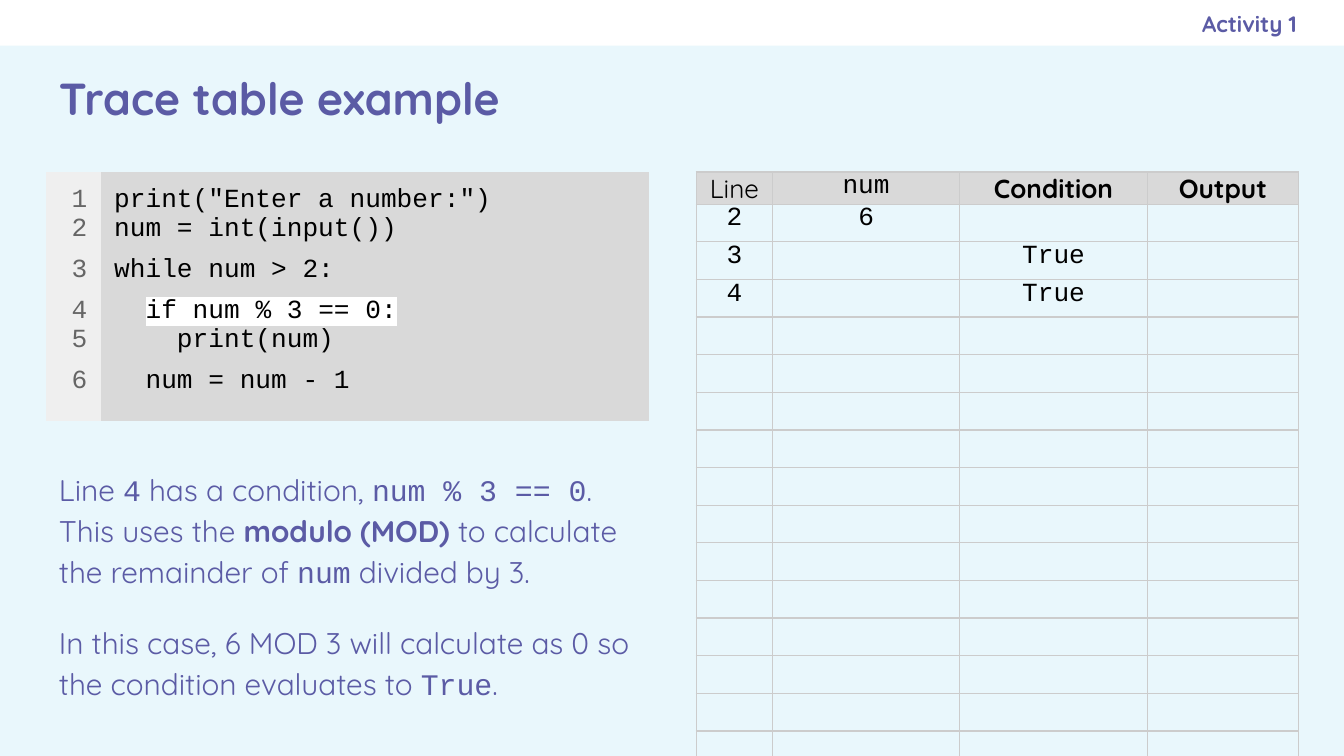
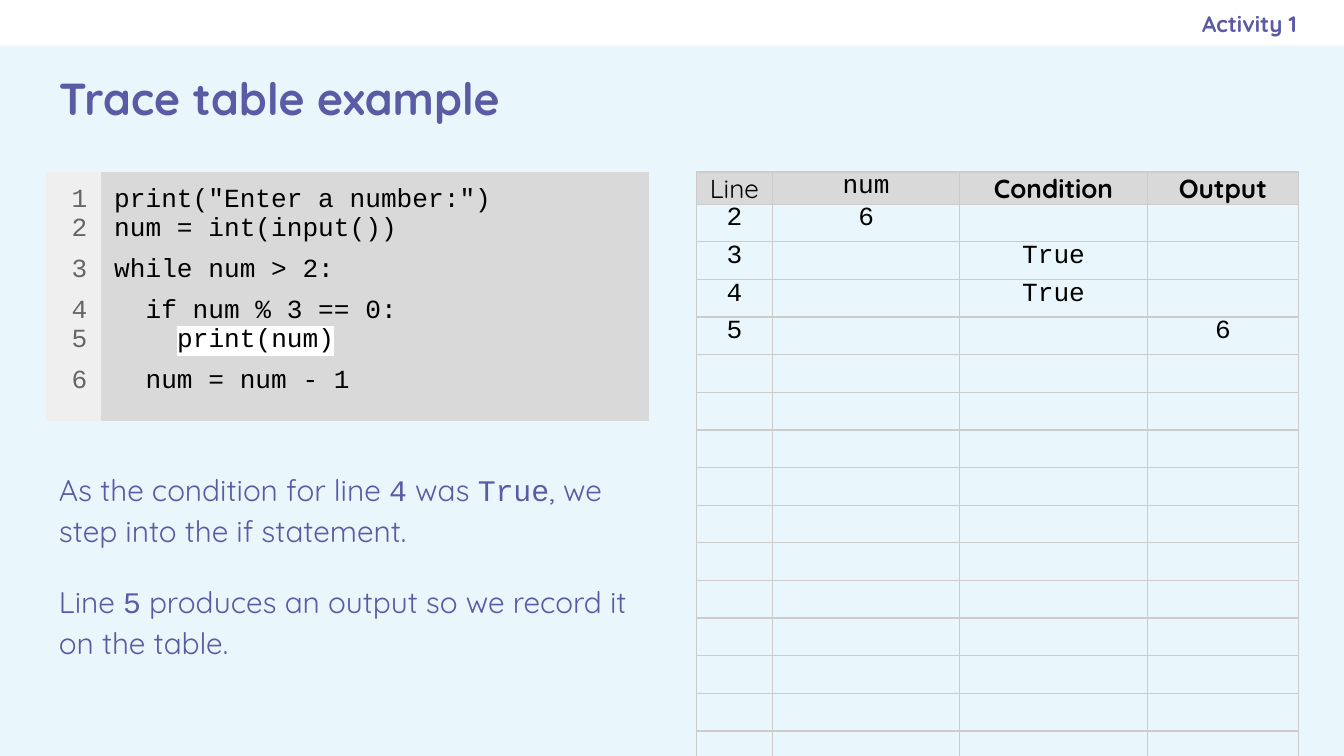
from lxml import etree
from pptx import Presentation
from pptx.dml.color import RGBColor
from pptx.enum.shapes import MSO_SHAPE
from pptx.enum.text import MSO_ANCHOR, PP_ALIGN
from pptx.oxml.ns import qn
from pptx.util import Inches, Pt

RECTANGLE = MSO_SHAPE.RECTANGLE
TOP, MIDDLE = MSO_ANCHOR.TOP, MSO_ANCHOR.MIDDLE
LEFT, CENTER, RIGHT = PP_ALIGN.LEFT, PP_ALIGN.CENTER, PP_ALIGN.RIGHT

PALE_BLUE = RGBColor(0xE9, 0xF7, 0xFC)
PURPLE = RGBColor(0x5B, 0x5B, 0xA5)
WHITE = RGBColor(0xFF, 0xFF, 0xFF)
BLACK = RGBColor(0x00, 0x00, 0x00)
CODE_GREY = RGBColor(0xD9, 0xD9, 0xD9)
GUTTER_GREY = RGBColor(0xEF, 0xEF, 0xEF)
NUMBER_GREY = RGBColor(0x66, 0x66, 0x66)
BORDER_GREY = RGBColor(0xCC, 0xCC, 0xCC)

SANS, MONO = "Quicksand", "Courier New"
PLAIN_TABLE_STYLE = "{2D5ABB26-0587-4C30-8999-92F81FD0307C}"
SLIDE_WIDTH = Inches(10)
SLIDE_HEIGHT = SLIDE_WIDTH * 9 // 16
MARGIN, BAND_HEIGHT, TABLE_TOP = 0.34, 0.34, 1.28
TABLE_TEXT_SIZE = 14

CODE_LINES = [
    'print("Enter a number:")',
    "num = int(input())",
    "while num > 2:",
    "  if num % 3 == 0:",
    "    print(num)",
    "  num = num - 1",
]
SPACED_LINES = (3, 4, 6)

TRACE_COLUMNS = [0.57, 1.39, 1.4, 1.12]
TRACE_HEADINGS = [("Line", SANS, False), ("num", MONO, False),
                  ("Condition", SANS, True), ("Output", SANS, True)]
TRACE_ROW_COUNT = 16
TRACE_ENTRIES = [
    ("2", "6", "", ""),
    ("3", "", "True", ""),
    ("4", "", "True", ""),
    ("5", "", "", "6"),
]

CONDITION_TEXT = [
    [("Line ", None), ("4", "code"), (" has a condition, ", None),
     ("num % 3 == 0", "code"), (". This uses the ", None),
     ("modulo (MOD)", "bold"), (" to calculate the remainder of ", None),
     ("num", "code"), (" divided by 3.", None)],
    [("In this case, 6 MOD 3 will calculate as 0 so the condition evaluates to ", None),
     ("True", "code"), (".", None)],
]
OUTPUT_TEXT = [
    [("As the condition for line ", None), ("4", "code"), (" was ", None),
     ("True", "code"), (", we step into the if statement.", None)],
    [("Line ", None), ("5", "code"),
     (" produces an output so we record it on the table.", None)],
]


def style_paragraph(paragraph, size, name, color, bold=False, alignment=LEFT):
    """Set the alignment and the font shared by a paragraph's runs."""
    paragraph.alignment = alignment
    font = paragraph.font
    font.size, font.name, font.bold = Pt(size), name, bold
    font.color.rgb = color


def style_paragraph_end(paragraph, name):
    """Give the end mark the table font, so that it does not stretch the row."""
    end = etree.SubElement(paragraph._p, qn("a:endParaRPr"), sz=str(TABLE_TEXT_SIZE * 100))
    etree.SubElement(end, qn("a:latin"), typeface=name)


def add_text_box(slide, left, top, width, height, anchor=TOP, right_inset=0.1):
    """Add an empty wrapping text box and return its text frame."""
    frame = slide.shapes.add_textbox(
        Inches(left), Inches(top), Inches(width), Inches(height)).text_frame
    frame.word_wrap = True
    frame.vertical_anchor = anchor
    frame.margin_left = frame.margin_top = frame.margin_bottom = Inches(0.1)
    frame.margin_right = Inches(right_inset)
    return frame


def add_heading(slide, text, box, size, alignment=LEFT, right_inset=0.1):
    """Add one bold purple line, centred vertically in its box."""
    frame = add_text_box(slide, *box, anchor=MIDDLE, right_inset=right_inset)
    frame.text = text
    style_paragraph(frame.paragraphs[0], size, SANS, PURPLE, True, alignment)


def add_activity_slide(presentation, title, activity):
    """Add a slide with the background, top band, title and activity label."""
    slide = presentation.slides.add_slide(presentation.slide_layouts[6])
    slide.background.fill.solid()
    slide.background.fill.fore_color.rgb = PALE_BLUE
    band = slide.shapes.add_shape(RECTANGLE, 0, 0, SLIDE_WIDTH, Inches(BAND_HEIGHT))
    band.shadow.inherit = False
    band.fill.solid()
    band.fill.fore_color.rgb = WHITE
    band.line.fill.background()
    add_heading(slide, title, (MARGIN, BAND_HEIGHT, 9.32, 0.77), 24)
    add_heading(slide, activity, (5.75, 0, 3.9, 0.35), 12, RIGHT, 0)
    return slide


def add_explanation(slide, paragraphs):
    """Add body paragraphs whose runs may be code or bold."""
    frame = add_text_box(slide, MARGIN, 3.37, 4.48, 1.87)
    for index, runs in enumerate(paragraphs):
        paragraph = frame.add_paragraph() if index else frame.paragraphs[0]
        style_paragraph(paragraph, 16, SANS, PURPLE)
        paragraph.line_spacing = 1.15
        if index:
            paragraph.space_before = paragraph.space_after = Pt(16)
        for text, emphasis in runs:
            run = paragraph.add_run()
            run.text = text
            if emphasis == "code":
                run.font.name = MONO
            elif emphasis == "bold":
                run.font.bold = True


def add_plain_table(slide, left, column_widths, row_heights):
    """Add a table without style, sized by its columns and rows."""
    frame = slide.shapes.add_table(
        len(row_heights), len(column_widths), Inches(left), Inches(TABLE_TOP),
        Inches(sum(column_widths)), Inches(sum(row_heights)))
    table = frame.table
    table.first_row = table.horz_banding = False
    table._tbl.tblPr.find(qn("a:tableStyleId")).text = PLAIN_TABLE_STYLE
    for column, width in zip(table.columns, column_widths):
        column.width = Inches(width)
    for row, height in zip(table.rows, row_heights):
        row.height = Inches(height)
    return table


def format_cell(cell, inset, fill=None):
    """Set equal insets and the fill of a cell."""
    cell.margin_left = cell.margin_right = Inches(inset)
    cell.margin_top = cell.margin_bottom = Inches(inset)
    if fill is None:
        cell.fill.background()
    else:
        cell.fill.solid()
        cell.fill.fore_color.rgb = fill


def add_borders(cell):
    """Draw a thin grey line on each side of a cell."""
    properties = cell._tc.get_or_add_tcPr()
    for side in ("lnL", "lnR", "lnT", "lnB"):
        line = etree.SubElement(properties, qn(f"a:{side}"), w=str(Pt(0.75)))
        fill = etree.SubElement(line, qn("a:solidFill"))
        etree.SubElement(fill, qn("a:srgbClr"), val=str(BORDER_GREY))


def fill_trace_cell(cell, text, name, bold=False, fill=None):
    """Write one centred value in a bordered trace cell."""
    add_borders(cell)
    format_cell(cell, 0, fill)
    paragraph = cell.text_frame.paragraphs[0]
    style_paragraph(paragraph, TABLE_TEXT_SIZE, name, BLACK, bold, CENTER)
    if text:
        paragraph.add_run().text = text
    style_paragraph_end(paragraph, name)


def add_trace_table(slide, entries):
    """Add the trace table, leaving the rows after the entries empty."""
    table = add_plain_table(slide, 5.18, TRACE_COLUMNS, [0.24] + [0.28] * TRACE_ROW_COUNT)
    for column, (heading, name, bold) in enumerate(TRACE_HEADINGS):
        fill_trace_cell(table.cell(0, column), heading, name, bold, CODE_GREY)
    blank_rows = [("",) * len(TRACE_COLUMNS)] * (TRACE_ROW_COUNT - len(entries))
    for row, values in enumerate(entries + blank_rows, start=1):
        for column, value in enumerate(values):
            fill_trace_cell(table.cell(row, column), value, MONO)


def highlight_run(run):
    """Put a white highlight behind a run."""
    highlight = etree.SubElement(run._r.get_or_add_rPr(), qn("a:highlight"))
    etree.SubElement(highlight, qn("a:srgbClr"), val=str(WHITE))


def add_code_line(frame, number, text, color, alignment=LEFT, highlighted=False):
    """Write a line of the listing, highlighting its code without the indent."""
    paragraph = frame.paragraphs[0] if number == 1 else frame.add_paragraph()
    style_paragraph(paragraph, TABLE_TEXT_SIZE, MONO, color, alignment=alignment)
    if number in SPACED_LINES:
        paragraph.space_before = Pt(6)
    if highlighted:
        code = text.lstrip()
        paragraph.add_run().text = text[:-len(code)]
        run = paragraph.add_run()
        run.text = code
        highlight_run(run)
    else:
        paragraph.add_run().text = text
    style_paragraph_end(paragraph, MONO)


def add_code_listing(slide, current_line):
    """Add the numbered program with its current line highlighted."""
    table = add_plain_table(slide, MARGIN, [0.41, 4.08], [1.76])
    gutter, code = table.cell(0, 0), table.cell(0, 1)
    format_cell(gutter, 0.1, GUTTER_GREY)
    format_cell(code, 0.1, CODE_GREY)
    for number, text in enumerate(CODE_LINES, start=1):
        add_code_line(gutter.text_frame, number, str(number), NUMBER_GREY, RIGHT)
        add_code_line(code.text_frame, number, text, BLACK,
                      highlighted=number == current_line)


def main():
    """Build both trace steps and save the presentation."""
    presentation = Presentation()
    presentation.slide_width, presentation.slide_height = SLIDE_WIDTH, SLIDE_HEIGHT
    steps = [(4, 3, CONDITION_TEXT), (5, 4, OUTPUT_TEXT)]
    for current_line, entry_count, explanation in steps:
        slide = add_activity_slide(presentation, "Trace table example", "Activity 1")
        add_explanation(slide, explanation)
        add_trace_table(slide, TRACE_ENTRIES[:entry_count])
        add_code_listing(slide, current_line)
    presentation.save("out.pptx")


if __name__ == "__main__":
    main()
